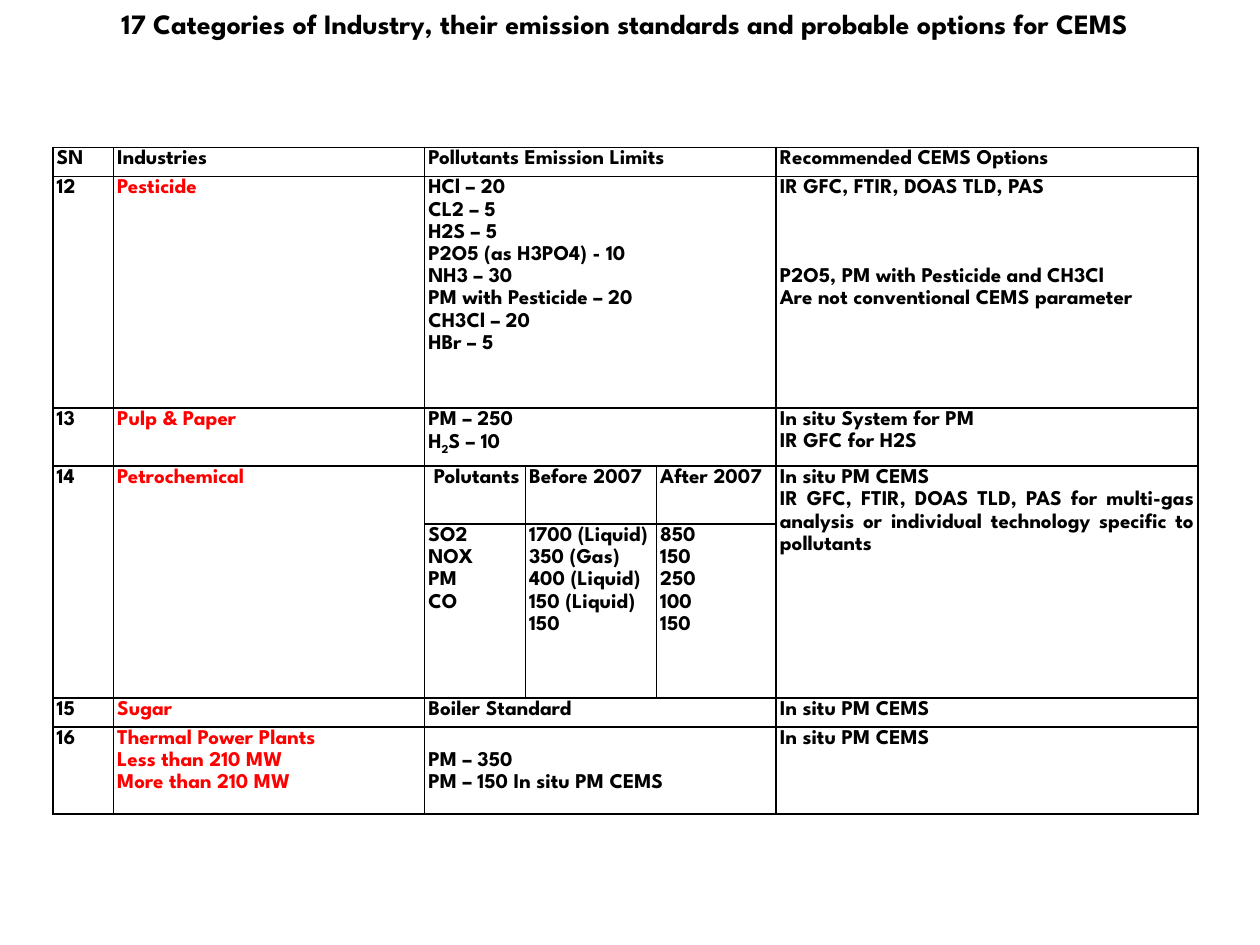
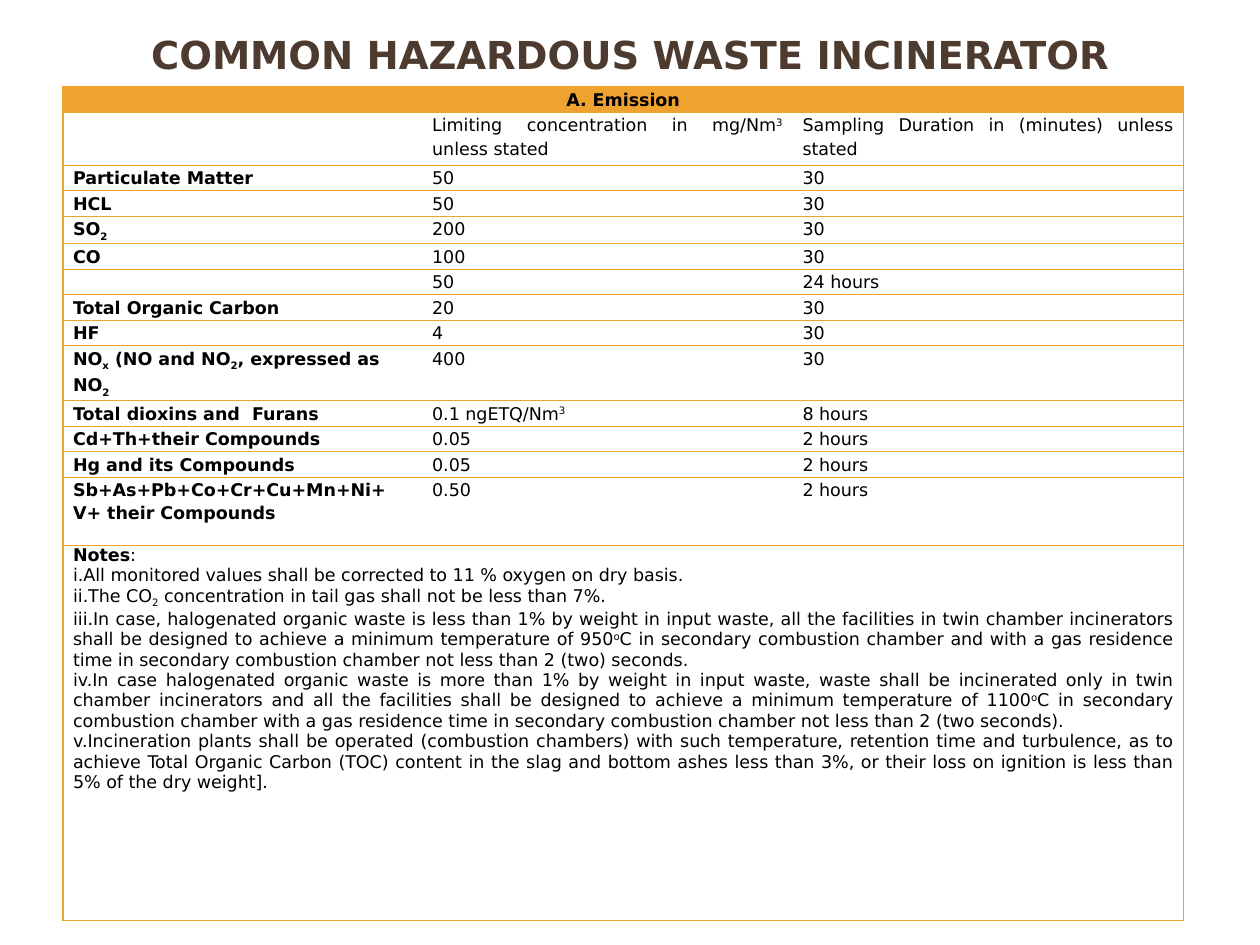
from lxml import etree
from pptx import Presentation
from pptx import util as u
from pptx.dml.color import RGBColor
from pptx.enum import text
from pptx.oxml import ns

BLACK = RGBColor(0x00, 0x00, 0x00)
RED = RGBColor(0xFF, 0x00, 0x00)
ORANGE = RGBColor(0xF0, 0xA2, 0x2E)
BROWN = RGBColor(0x4E, 0x3B, 0x30)
SPARTAN, DEJAVU = "League Spartan", "DejaVu Sans"
PLAIN_TABLE = "{2D5ABB26-0587-4C30-8999-92F81FD0307C}"
BASELINES = {"_": "-25000", "^": "30000"}
CENTER, JUSTIFY, LEFT = (text.PP_ALIGN.CENTER, text.PP_ALIGN.JUSTIFY,
                         text.PP_ALIGN.LEFT)

# A cell holding JOIN_LEFT or JOIN_UP belongs to its neighbour.
# Inside a text, "|" parts runs: "_" lowers a run, "^" raises it, "*" makes it bold.
JOIN_LEFT, JOIN_UP = "←", "↑"

INDUSTRY_TITLE = ("17 Categories of Industry, their emission standards "
                  "and probable options for CEMS")
INDUSTRY_COLUMNS = [0.48, 2.47, 0.8, 1.04, 0.95, 3.35]
INDUSTRY_ROW = 0.23
INDUSTRY_LINES = [1, 8, 2, 2, 6, 1, 3]
INDUSTRIES = [
    ["SN", "Industries", "Pollutants Emission Limits", JOIN_LEFT, JOIN_LEFT,
     "Recommended CEMS Options"],
    ["12", "Pesticide",
     "HCl – 20\nCL2 – 5\nH2S – 5\nP2O5 (as H3PO4) - 10\nNH3 – 30\n"
     "PM with Pesticide – 20\nCH3Cl – 20\nHBr – 5", JOIN_LEFT, JOIN_LEFT,
     "IR GFC, FTIR, DOAS TLD, PAS\n\n\n\nP2O5, PM with Pesticide and CH3Cl\n"
     "Are not conventional CEMS parameter"],
    ["13", "Pulp & Paper", "PM – 250\nH|_2|S – 10", JOIN_LEFT, JOIN_LEFT,
     "In situ System for PM\nIR GFC for H2S"],
    ["14", "Petrochemical", " Polutants", "Before 2007", "After 2007",
     "In situ PM CEMS\nIR GFC, FTIR, DOAS TLD, PAS for multi-gas analysis or "
     "individual technology specific to pollutants"],
    [JOIN_UP, JOIN_UP, "SO2\nNOX\nPM\nCO",
     "1700 (Liquid)\n350 (Gas)\n400 (Liquid)\n150 (Liquid)\n150",
     "850\n150\n250\n100\n150", JOIN_UP],
    ["15", "Sugar", "Boiler Standard", JOIN_LEFT, JOIN_LEFT, "In situ PM CEMS"],
    ["16", "Thermal Power Plants\nLess than 210 MW\nMore than 210 MW",
     "\nPM – 350\nPM – 150 In situ PM CEMS", JOIN_LEFT, JOIN_LEFT,
     "In situ PM CEMS"],
]

INCINERATOR_TITLE = "COMMON HAZARDOUS WASTE INCINERATOR"
INCINERATOR_COLUMNS = [2.85, 2.94, 3.1]
INCINERATOR_HEIGHT = 6.59
TALL_ROWS = {1: 0.42, 9: 0.42, 13: 0.54, 14: 2.98}
NOTES = "\n".join([
    "*Notes|:",
    "All monitored values shall be corrected to 11 % oxygen on dry basis.",
    "The CO|_2| concentration in tail gas shall not be less than 7%.",
    "In case, halogenated organic waste is less than 1% by weight in input waste, "
    "all the facilities in twin chamber incinerators shall be designed to achieve "
    "a minimum temperature of 950|^o|C in secondary combustion chamber and with a "
    "gas residence time in secondary combustion chamber not less than 2 (two) "
    "seconds.",
    "In case halogenated organic waste is more than 1% by weight in input waste, "
    "waste shall be incinerated only in twin chamber incinerators and all the "
    "facilities shall be designed to achieve a minimum temperature of 1100|^o|C in "
    "secondary combustion chamber with a gas residence time in secondary "
    "combustion chamber not less than 2 (two seconds).",
    "Incineration plants shall be operated (combustion chambers) with such "
    "temperature, retention time and turbulence, as to achieve Total Organic "
    "Carbon (TOC) content in the slag and bottom ashes less than 3%, or their "
    "loss on ignition is less than 5% of the dry weight].",
])
EMISSIONS = [
    ["A. Emission", JOIN_LEFT, JOIN_LEFT],
    ["", "Limiting concentration in mg/Nm|^3 |unless stated",
     "Sampling Duration in (minutes) unless stated"],
    ["Particulate Matter", "50", "30"],
    ["HCL", "50", "30"],
    ["SO|_2", "200", "30"],
    ["CO", "100", "30"],
    ["", "50", "24 hours"],
    ["Total Organic Carbon", "20", "30"],
    ["HF", "4", "30"],
    ["NO|_x| (NO and NO|_2|, expressed as NO|_2", "400", "30"],
    ["Total dioxins and  Furans", "0.1 ngETQ/Nm|^3", "8 hours"],
    ["Cd+Th+their Compounds", "0.05", "2 hours"],
    ["Hg and its Compounds", "0.05", "2 hours"],
    ["Sb+As+Pb+Co+Cr+Cu+Mn+Ni+ V+ their Compounds", "0.50", "2 hours"],
    [NOTES, JOIN_LEFT, JOIN_LEFT],
]


def add_runs(paragraph, line, font_name, size, color=BLACK, bold=False):
    for piece in line.split("|"):
        mark = piece[:1] if piece[:1] in ("_", "^", "*") else ""
        run = paragraph.add_run()
        run.text = piece[len(mark):]
        font = run.font
        font.name, font.size = font_name, u.Pt(size)
        font.bold = bold or mark == "*"
        font.color.rgb = color
        if mark in BASELINES:
            font._element.set("baseline", BASELINES[mark])


def add_title(slide, title, box, font_name, size, color, anchor):
    shape = slide.shapes.add_textbox(*[u.Inches(length) for length in box])
    frame = shape.text_frame
    frame.word_wrap = True
    frame.vertical_anchor = anchor
    paragraph = frame.paragraphs[0]
    paragraph.alignment = CENTER
    add_runs(paragraph, title, font_name, size, color, True)


def fill_text(cell, content, font_name, size, align=JUSTIFY, spacing=1.15,
              numbered=False, **look):
    """Write the lines of a cell; empty lines become space above the next one."""
    frame = cell.text_frame
    if not content:
        end = etree.SubElement(frame.paragraphs[0]._p, ns.qn("a:endParaRPr"))
        end.set("sz", str(size * 100))
        return
    gap, started = 0, False
    for line in content.split("\n"):
        if not line:
            gap += size * 1.05
            continue
        paragraph = frame.add_paragraph() if started else frame.paragraphs[0]
        paragraph.alignment = align
        paragraph.line_spacing = spacing
        if gap and started:
            paragraph.space_before = u.Pt(gap)
        elif gap:
            cell.margin_top = u.Pt(gap)
        if numbered and started:
            properties = paragraph._p.get_or_add_pPr()
            properties.set("marL", "0")
            properties.set("indent", "0")
            number = etree.SubElement(properties, ns.qn("a:buAutoNum"))
            number.set("type", "romanLcPeriod")
        add_runs(paragraph, line, font_name, size, **look)
        gap, started = 0, True


def set_borders(cell, sides, color, width):
    properties = cell._tc.get_or_add_tcPr()
    for side in "LRTB":
        border = etree.SubElement(properties, ns.qn(f"a:ln{side}"))
        border.set("w", str(u.Pt(width)))
        if side in sides:
            fill = etree.SubElement(border, ns.qn("a:solidFill"))
            etree.SubElement(fill, ns.qn("a:srgbClr")).set("val", str(color))
        else:
            etree.SubElement(border, ns.qn("a:noFill"))


def span(content, row, column):
    """Last row and column covered by the cell that starts here."""
    last_row, last_column = row, column
    while content[row][last_column + 1:last_column + 2] == [JOIN_LEFT]:
        last_column += 1
    while last_row + 1 < len(content) and content[last_row + 1][column] == JOIN_UP:
        last_row += 1
    return last_row, last_column


def add_grid(slide, content, left, top, widths, heights, inset, style, sides,
             line_color, line_width):
    frame = slide.shapes.add_table(
        len(heights), len(widths), u.Inches(left), u.Inches(top),
        u.Inches(sum(widths)), u.Inches(sum(heights)))
    table = frame.table
    table.first_row = table.horz_banding = False
    table._tbl.tblPr.find(ns.qn("a:tableStyleId")).text = PLAIN_TABLE
    for column, width in zip(table.columns, widths):
        column.width = u.Inches(width)
    for row, height in zip(table.rows, heights):
        row.height = u.Inches(height)
    for i, row in enumerate(content):
        for j, value in enumerate(row):
            cell = table.cell(i, j)
            cell.margin_left = cell.margin_right = u.Inches(inset)
            cell.margin_top = cell.margin_bottom = 0
            last_row, last_column = span(content, i, j)
            set_borders(cell, sides(j, last_column), line_color, line_width)
            look = style(i, j)
            background = look.pop("background", None)
            if background is None:
                cell.fill.background()
            else:
                cell.fill.solid()
                cell.fill.fore_color.rgb = background
            if value in (JOIN_LEFT, JOIN_UP):
                continue
            if (last_row, last_column) != (i, j):
                cell.merge(table.cell(last_row, last_column))
            fill_text(cell, value, **look)


def industry_style(row, column):
    return dict(font_name=SPARTAN, size=12, bold=True,
                color=RED if row and column == 1 else BLACK)


def emission_style(row, column):
    look = dict(font_name=DEJAVU, size=10)
    if row == 0:
        look.update(align=CENTER, bold=True, background=ORANGE)
    elif row == len(EMISSIONS) - 1:
        look.update(spacing=1.0, numbered=True)
    elif column == 0:
        look.update(align=LEFT, bold=True)
    return look


def outer_sides(column, last_column):
    """Rules above and below each row, uprights at the table's edges only."""
    return ("TB" + ("L" if column == 0 else "")
            + ("R" if last_column == len(INCINERATOR_COLUMNS) - 1 else ""))


def main():
    presentation = Presentation()
    presentation.slide_width, presentation.slide_height = u.Inches(10), u.Inches(7.5)
    blank = presentation.slide_layouts[6]

    slide = presentation.slides.add_slide(blank)
    add_grid(slide, INDUSTRIES, 0.42, 1.17, INDUSTRY_COLUMNS,
             [INDUSTRY_ROW * lines for lines in INDUSTRY_LINES], 0.03,
             industry_style, lambda column, last_column: "LRTB", BLACK, 1)
    add_title(slide, INDUSTRY_TITLE, (0.17, 0, 9.58, 0.37), SPARTAN, 16, BLACK,
              text.MSO_ANCHOR.TOP)

    slide = presentation.slides.add_slide(blank)
    add_title(slide, INCINERATOR_TITLE, (0.5, 0.17, 9, 0.52), DEJAVU, 22, BROWN,
              text.MSO_ANCHOR.MIDDLE)
    single_row = ((INCINERATOR_HEIGHT - sum(TALL_ROWS.values()))
                  / (len(EMISSIONS) - len(TALL_ROWS)))
    add_grid(slide, EMISSIONS, 0.5, 0.69, INCINERATOR_COLUMNS,
             [TALL_ROWS.get(i, single_row) for i in range(len(EMISSIONS))], 0.08,
             emission_style, outer_sides, ORANGE, 0.75)

    presentation.save("out.pptx")


if __name__ == "__main__":
    main()
